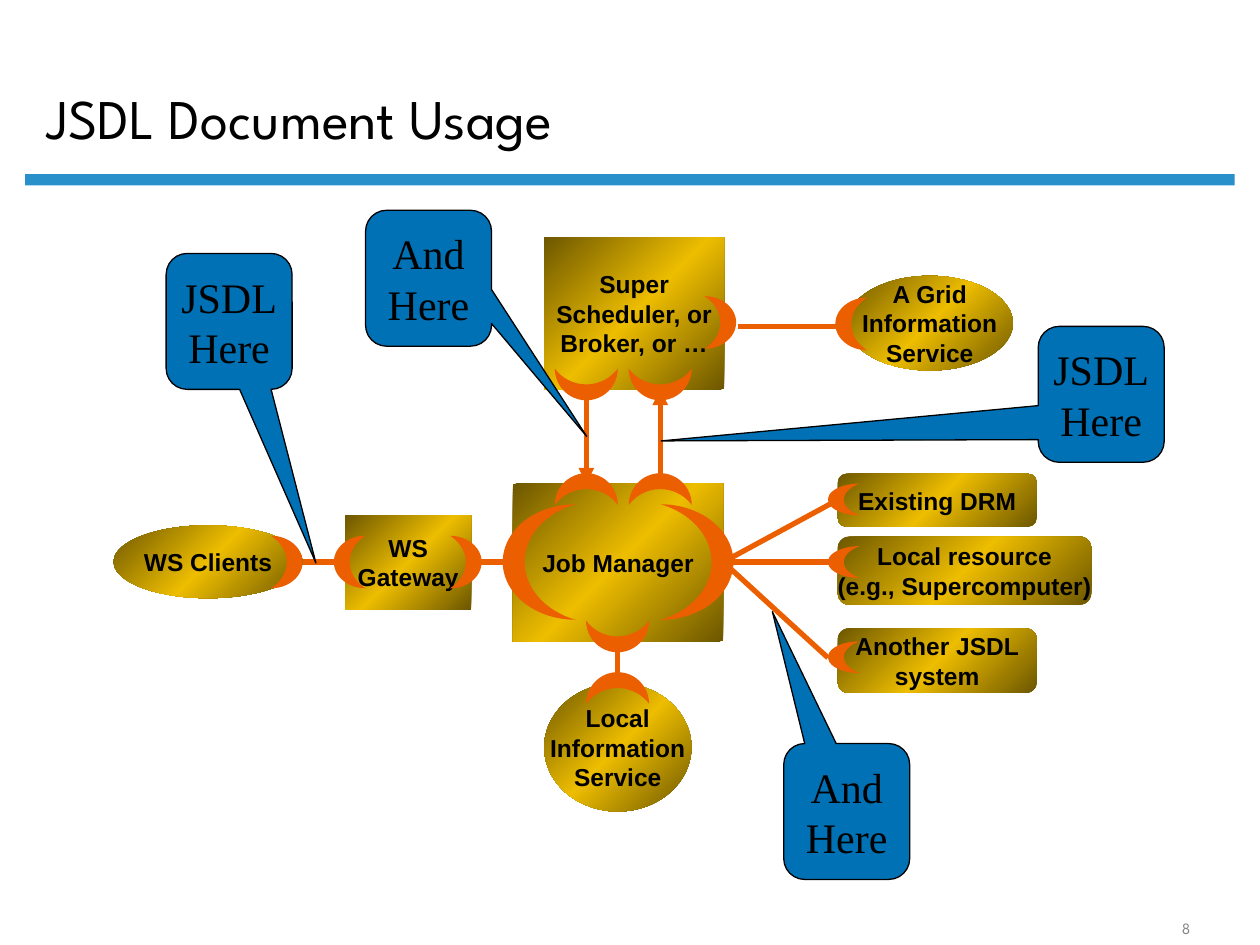
from copy import deepcopy

from pptx import Presentation
from pptx.dml.color import RGBColor
from pptx.enum.shapes import MSO_CONNECTOR, MSO_SHAPE as Shape
from pptx.enum.text import MSO_ANCHOR as Anchor, MSO_AUTO_SIZE, PP_ALIGN as Align
from pptx.oxml.ns import qn
from pptx.util import Cm, Pt

ORANGE, BLUE, BLACK = "EB5F01", "0071B5", "000000"
GOLD_STOPS = [(0, "6D5700"), (0.5, "EDBD00"), (1, "6D5700")]

# Axes shared by nodes, links and crescents, in cm
MID_Y = 11.33
DOWN_X, UP_X, INFO_X = 11.82, 13.31, 12.45
JOB_TOP, JOB_BOTTOM, SCHEDULER_BOTTOM = 9.75, 12.93, 7.85
JOB_LEFT, JOB_RIGHT, RESOURCE_LEFT = 10.34, 14.58, 16.89

NODES = [
    ("Another JSDL\nsystem", Shape.ROUNDED_RECTANGLE, RESOURCE_LEFT, 12.67, 4.01, 1.3),
    ("WS\nGateway", Shape.RECTANGLE, 6.96, 10.39, 2.54, 1.9),
    ("WS Clients", Shape.OVAL, 2.29, 10.59, 3.81, 1.47),
    ("Job Manager", Shape.RECTANGLE, JOB_LEFT, JOB_TOP, 4.24, 3.18),
    ("A Grid\nInformation\nService", Shape.OVAL, 17.07, 5.56, 3.35, 1.91),
    ("Local\nInformation\nService", Shape.OVAL, 10.97, 13.77, 2.97, 2.59),
    ("Local resource\n(e.g., Supercomputer)", Shape.ROUNDED_RECTANGLE,
     RESOURCE_LEFT, 10.82, 5.11, 1.37),
    ("Existing DRM", Shape.ROUNDED_RECTANGLE, RESOURCE_LEFT, 9.55, 4.01, 1.07),
    ("Super\nScheduler, or\nBroker, or …", Shape.RECTANGLE, 10.97, 4.78, 3.63, 3.07),
]

LINKS = [
    (6.1, MID_Y, 6.96, MID_Y),
    (9.5, MID_Y, JOB_LEFT, MID_Y),
    (JOB_RIGHT, MID_Y, 16.69, 13.26),
    (JOB_RIGHT, MID_Y, 16.92, 10.06),
    (JOB_RIGHT, MID_Y, 16.92, MID_Y),
    (INFO_X, JOB_BOTTOM, INFO_X, 13.77),
    (14.88, 6.58, 16.99, 6.58),
]
ARROWS = [
    (DOWN_X, SCHEDULER_BOTTOM, DOWN_X, JOB_TOP),
    (UP_X, JOB_TOP, UP_X, SCHEDULER_BOTTOM),
]

# Rotation that points the bulge of a crescent each way
LEFT, UP, RIGHT, DOWN = 0, 90, 180, 270

# Crescent height, width, thickness ratio, then (centre x, centre y, direction)
CRESCENTS = [
    (1.06, 0.64, 0.5, [(5.78, MID_Y, RIGHT), (7.05, MID_Y, LEFT), (9.39, MID_Y, RIGHT),
                       (17.16, 6.53, LEFT), (14.52, 6.5, RIGHT)]),
    (1.27, 0.64, 0.5, [(DOWN_X, 9.86, UP), (DOWN_X, 7.75, DOWN),
                       (UP_X, 9.86, UP), (UP_X, 7.75, DOWN),
                       (INFO_X, 13.87, UP), (INFO_X, 12.83, DOWN)]),
    (0.64, 0.64, 0.5, [(17.01, y, LEFT) for y in (10.07, MID_Y, 13.25)]),
    (2.33, 1.47, 0.3, [(10.87, MID_Y, LEFT), (14.05, MID_Y, RIGHT)]),
]

# Text, left, top, tip x, tip y
CALLOUTS = [
    ("JSDL\nHere", 3.35, 5.11, 6.37, 11.35),
    ("And\nHere", 7.37, 4.24, 11.83, 8.8),
    ("JSDL\nHere", 20.93, 6.58, 13.33, 8.89),
    ("And\nHere", 15.8, 14.99, 15.57, 12.33),
]


def rgb(color):
    return RGBColor.from_string(color)


def write(frame, text, font_name, size, color=BLACK, bold=False,
          align=Align.CENTER, anchor=Anchor.MIDDLE, wrap=False):
    frame.text = text
    frame.word_wrap = wrap
    frame.auto_size = MSO_AUTO_SIZE.NONE
    frame.vertical_anchor = anchor
    for paragraph in frame.paragraphs:
        paragraph.alignment = align
        font = paragraph.font
        font.name, font.size, font.bold = font_name, Pt(size), bold
        font.color.rgb = rgb(color)


def add_preset(slide, preset, left, top, width, height, color=None):
    shape = slide.shapes.add_shape(preset, Cm(left), Cm(top), Cm(width), Cm(height))
    shape.shadow.inherit = False
    shape.line.fill.background()
    if color:
        shape.fill.solid()
        shape.fill.fore_color.rgb = rgb(color)
    return shape


def fill_gold(shape):
    """Fill with a diagonal gradient that is bright along the middle."""
    shape.fill.gradient()
    shape.fill.gradient_angle = 135
    stop_list = next(shape._element.spPr.iter(qn("a:gsLst")))
    stop_list.append(deepcopy(stop_list[0]))
    for stop, (position, color) in zip(shape.fill.gradient_stops, GOLD_STOPS):
        stop.position = position
        stop.color.rgb = rgb(color)


def add_node(slide, text, preset, left, top, width, height):
    node = add_preset(slide, preset, left, top, width, height)
    fill_gold(node)
    write(node.text_frame, text, "Arial", 14, bold=True)


def add_link(slide, x1, y1, x2, y2, arrow=False):
    link = slide.shapes.add_connector(MSO_CONNECTOR.STRAIGHT, Cm(x1), Cm(y1), Cm(x2), Cm(y2))
    link.line.color.rgb = rgb(ORANGE)
    link.line.width = Pt(3)
    if arrow:
        line = link.line._get_or_add_ln()
        line.append(line.makeelement(qn("a:tailEnd"), {"type": "triangle"}))
    properties = link._element.spPr
    properties.append(properties.makeelement(qn("a:effectLst"), {}))


def add_crescent(slide, x, y, direction, height, width, thickness):
    crescent = add_preset(slide, Shape.MOON, x - width / 2, y - height / 2,
                          width, height, ORANGE)
    crescent.adjustments[0] = thickness
    crescent.rotation = direction


def add_callout(slide, text, left, top, tip_x, tip_y, width=2.54, height=2.74):
    callout = add_preset(slide, Shape.ROUNDED_RECTANGULAR_CALLOUT,
                         left, top, width, height, BLUE)
    callout.line.color.rgb = rgb(BLACK)
    callout.line.width = Pt(0.75)
    callout.adjustments[0] = (tip_x - left) / width - 0.5
    callout.adjustments[1] = (tip_y - top) / height - 0.5
    write(callout.text_frame, text, "Times New Roman", 24)


def add_title(slide, text):
    title = slide.shapes.title
    title.left, title.top, title.width, title.height = Cm(0.69), Cm(0), Cm(22.71), Cm(3.18)
    write(title.text_frame, text, "League Spartan", 32,
          align=Align.LEFT, anchor=Anchor.BOTTOM, wrap=True)
    title.text_frame.paragraphs[0].line_spacing = 0.9


def add_page_number(slide, number):
    box = slide.shapes.add_textbox(Cm(22.86), Cm(18.42), Cm(2.11), Cm(0.61))
    write(box.text_frame, number, "League Spartan", 9, "848589",
          anchor=Anchor.BOTTOM, wrap=True)


def main():
    deck = Presentation()
    deck.slide_width, deck.slide_height = Cm(25.4), Cm(19.05)
    slide = deck.slides.add_slide(deck.slide_layouts[5])

    add_title(slide, "JSDL Document Usage")
    add_preset(slide, Shape.RECTANGLE, 0.51, 3.51, 24.38, 0.23, "2990CA")
    for node in NODES:
        add_node(slide, *node)
    for link in LINKS:
        add_link(slide, *link)
    for arrow in ARROWS:
        add_link(slide, *arrow, arrow=True)
    for height, width, thickness, places in CRESCENTS:
        for place in places:
            add_crescent(slide, *place, height, width, thickness)
    for callout in CALLOUTS:
        add_callout(slide, *callout)
    add_page_number(slide, "8")

    deck.save("out.pptx")


if __name__ == "__main__":
    main()
